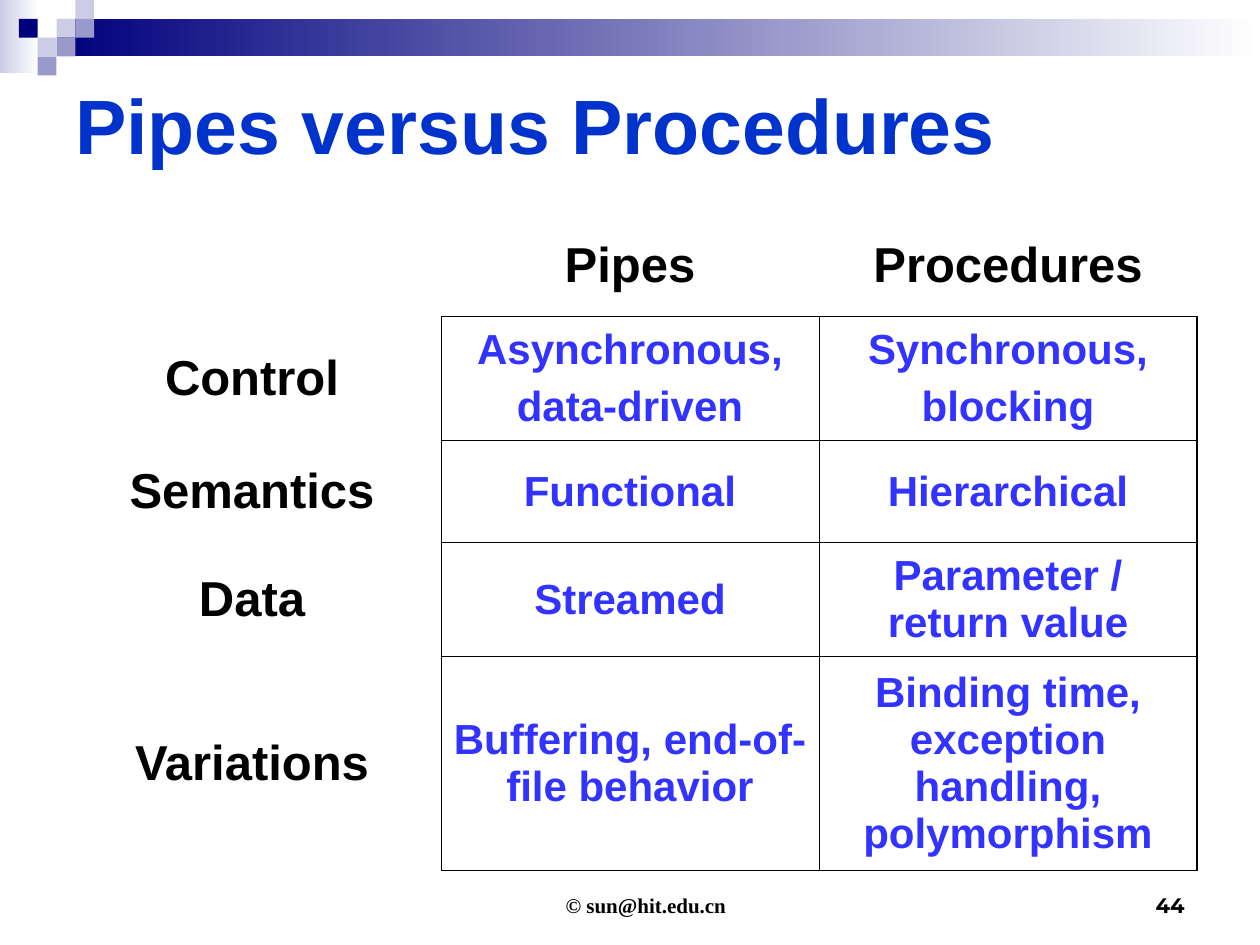
from lxml import etree
from pptx import Presentation
from pptx import util as u
from pptx.dml.color import RGBColor
from pptx.enum import shapes, text
from pptx.oxml import ns

SQUARE = 0.38
SQUARES = [
    (3, 1, "CCCCE6"), (4, 0, "CCCCE6"), (4, 1, "9999CC"), (2, 2, "CCCCE6"),
    (1, 1, "00007D"), (3, 2, "9999CC"), (2, 3, "9999CC"),
]
COLUMN_WIDTH = 7.62
ROW_HEIGHTS = [2.06, 2.49, 2.06, 2.29, 4.31]
ROWS = [
    ["", "Pipes", "Procedures"],
    ["Control", "Asynchronous,\ndata-driven", "Synchronous,\nblocking"],
    ["Semantics", "Functional", "Hierarchical"],
    ["Data", "Streamed", "Parameter / return value"],
    ["Variations", "Buffering, end-of-file behavior",
     "Binding time, exception handling, polymorphism"],
]
HEADING = {"size": u.Pt(28), "name": "Arial", "bold": True}
VALUE = {**HEADING, "size": u.Pt(24)}
THIN, THICK = 0.45, 1.08


def rgb(value):
    return RGBColor.from_string(value)


def set_values(target, values):
    for name, value in values.items():
        setattr(target, name, value)


def write(frame, content, font, color, align, gap=0):
    frame.word_wrap = True
    for index, line in enumerate(content.split("\n")):
        para = frame.add_paragraph() if index else frame.paragraphs[0]
        para.alignment = align
        para.space_before = u.Pt(gap if index else 0)
        span = para.add_run()
        span.text = line
        set_values(span.font, font)
        span.font.color.rgb = rgb(color)


def add_text(page, place, content, font, color, align, anchor, left_inset=0.25):
    box = page.shapes.add_textbox(*map(u.Cm, place))
    set_values(box.text_frame, {
        "vertical_anchor": anchor, "margin_left": u.Cm(left_inset),
    })
    write(box.text_frame, content, font, color, align)


def add_block(page, place, *colors):
    block = page.shapes.add_shape(shapes.MSO_SHAPE.RECTANGLE, *map(u.Cm, place))
    block.shadow.inherit = False
    block.line.fill.background()
    if len(colors) == 1:
        block.fill.solid()
        block.fill.fore_color.rgb = rgb(colors[0])
        return
    block.fill.gradient()
    block.fill.gradient_angle = 180
    for stop, color in zip(block.fill.gradient_stops, colors):
        stop.color.rgb = rgb(color)


def add_border(cell, side, width):
    line = etree.SubElement(cell._tc.get_or_add_tcPr(), ns.qn("a:ln" + side))
    if not width:
        etree.SubElement(line, ns.qn("a:noFill"))
        return
    line.set("w", str(u.Pt(width)))
    fill = etree.SubElement(line, ns.qn("a:solidFill"))
    etree.SubElement(fill, ns.qn("a:srgbClr"), val="000000")


def border_widths(row, column):
    last_row, last_column = len(ROWS) - 1, len(ROWS[0]) - 1
    inside = row > 0 and column > 0
    return {
        "L": THIN if inside else 0,
        "R": (THICK if column == last_column else THIN) if row else 0,
        "T": THIN if inside else 0,
        "B": (THICK if row == last_row else THIN) if column else 0,
    }


def add_comparison(page):
    place = (1.27, 4.32, COLUMN_WIDTH * len(ROWS[0]), sum(ROW_HEIGHTS))
    frame = page.shapes.add_table(len(ROWS), len(ROWS[0]), *map(u.Cm, place))
    table = frame.table
    set_values(table, {"first_row": False, "horz_banding": False})
    for column in table.columns:
        column.width = u.Cm(COLUMN_WIDTH)
    for row, height in zip(table.rows, ROW_HEIGHTS):
        row.height = u.Cm(height)
    for row, contents in enumerate(ROWS):
        for column, content in enumerate(contents):
            cell = table.cell(row, column)
            cell.vertical_anchor = text.MSO_ANCHOR.MIDDLE
            for side, width in border_widths(row, column).items():
                add_border(cell, side, width)
            cell.fill.background()
            if content:
                inside = row > 0 and column > 0
                write(cell.text_frame, content, VALUE if inside else HEADING,
                      "3333FF" if inside else "000000",
                      text.PP_ALIGN.CENTER, gap=6)


def main():
    deck = Presentation()
    set_values(deck, {"slide_width": u.Cm(25.4), "slide_height": u.Cm(19.05)})
    page = deck.slides.add_slide(deck.slide_layouts[6])

    add_block(page, (0, 0, 0.79, 1.47), "FFFFFF", "CCCCE6")
    add_block(page, (1.14, 0.38, 24.26, 0.76), "FFFFFF", "00007D")
    for column, row, color in SQUARES:
        add_block(page, (column * SQUARE, row * SQUARE, SQUARE, SQUARE), color)

    add_text(page, (1.27, 1.27, 22.86, 2.46), "Pipes versus Procedures",
             {**HEADING, "size": u.Pt(44)}, "0033CC",
             text.PP_ALIGN.LEFT, text.MSO_ANCHOR.MIDDLE)
    add_comparison(page)

    small = {"size": u.Pt(12), "bold": True}
    add_text(page, (8.69, 17.35, 8.05, 1.27), "© sun@hit.edu.cn",
             {**small, "name": "Times New Roman"}, "000000",
             text.PP_ALIGN.CENTER, text.MSO_ANCHOR.BOTTOM, left_inset=0.86)
    add_text(page, (18.21, 17.35, 5.92, 1.27), "44",
             {**small, "name": "Montserrat"}, "000000",
             text.PP_ALIGN.RIGHT, text.MSO_ANCHOR.BOTTOM)
    deck.save("out.pptx")


if __name__ == "__main__":
    main()
